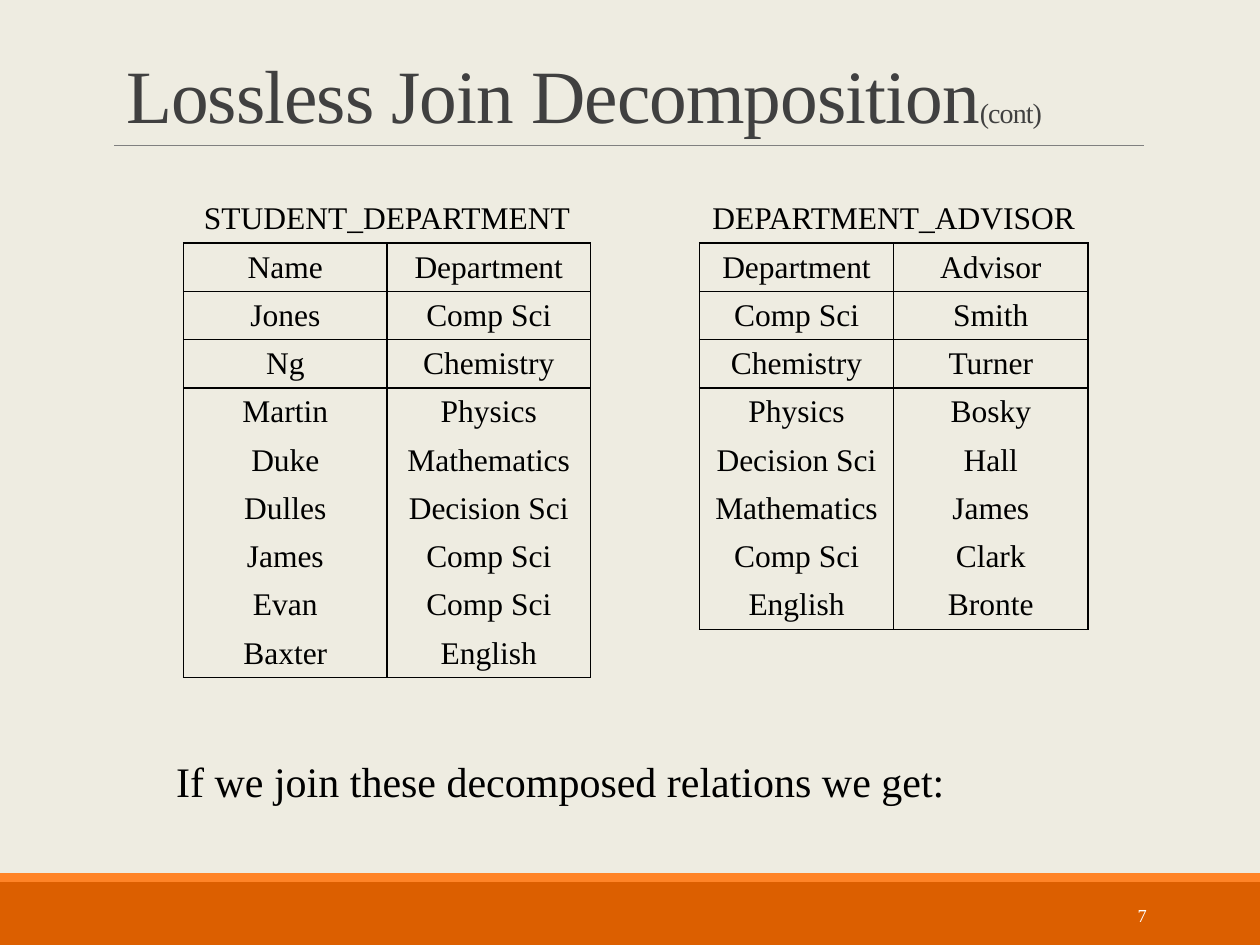
from lxml import etree
from pptx import Presentation
from pptx.dml.color import RGBColor
from pptx.enum.shapes import MSO_CONNECTOR, MSO_SHAPE
from pptx.enum.text import MSO_ANCHOR, PP_ALIGN
from pptx.oxml.ns import qn
from pptx.util import Pt

RECTANGLE = MSO_SHAPE.RECTANGLE
STRAIGHT = MSO_CONNECTOR.STRAIGHT
MIDDLE, BOTTOM = MSO_ANCHOR.MIDDLE, MSO_ANCHOR.BOTTOM
LEFT, CENTER, RIGHT = PP_ALIGN.LEFT, PP_ALIGN.CENTER, PP_ALIGN.RIGHT

CREAM = RGBColor(0xEE, 0xEC, 0xE1)
DARK_ORANGE = RGBColor(0xDC, 0x5F, 0x00)
ORANGE = RGBColor(0xFF, 0x84, 0x27)
GRAY = RGBColor(0x80, 0x80, 0x80)
CHARCOAL = RGBColor(0x40, 0x40, 0x40)
BLACK = RGBColor(0, 0, 0)
WHITE = RGBColor(0xFF, 0xFF, 0xFF)

FONT = "Times New Roman"
PLAIN_TABLE_STYLE = "{2D5ABB26-0587-4C30-8999-92F81FD0307C}"
ROW_HEIGHT = 27.14

STUDENT_DEPARTMENT = [
    ("Name", "Department"),
    ("Jones", "Comp Sci"),
    ("Ng", "Chemistry"),
    ("Martin", "Physics"),
    ("Duke", "Mathematics"),
    ("Dulles", "Decision Sci"),
    ("James", "Comp Sci"),
    ("Evan", "Comp Sci"),
    ("Baxter", "English"),
]
DEPARTMENT_ADVISOR = [
    ("Department", "Advisor"),
    ("Comp Sci", "Smith"),
    ("Chemistry", "Turner"),
    ("Physics", "Bosky"),
    ("Decision Sci", "Hall"),
    ("Mathematics", "James"),
    ("Comp Sci", "Clark"),
    ("English", "Bronte"),
]


def format_paragraph(paragraph, size, color, alignment):
    paragraph.alignment = alignment
    paragraph.font.name = FONT
    paragraph.font.size = Pt(size)
    paragraph.font.color.rgb = color


def add_bar(slide, left, top, width, height, color):
    bar = slide.shapes.add_shape(RECTANGLE, Pt(left), Pt(top), Pt(width), Pt(height))
    bar.shadow.inherit = False
    bar.fill.solid()
    bar.fill.fore_color.rgb = color
    bar.line.fill.background()


def add_text(slide, left, top, width, height, text, size, color, alignment=LEFT, anchor=None):
    box = slide.shapes.add_textbox(Pt(left), Pt(top), Pt(width), Pt(height))
    frame = box.text_frame
    frame.word_wrap = True
    frame.vertical_anchor = anchor
    frame.text = text
    format_paragraph(frame.paragraphs[0], size, color, alignment)


def add_title(slide, left, top, width, height):
    title = slide.shapes.title
    title.left, title.top = Pt(left), Pt(top)
    title.width, title.height = Pt(width), Pt(height)
    frame = title.text_frame
    frame.vertical_anchor = BOTTOM
    paragraph = frame.paragraphs[0]
    format_paragraph(paragraph, 43, CHARCOAL, LEFT)
    paragraph.line_spacing = 0.85
    for text, size in (("Lossless Join Decomposition", 43), ("(cont)", 16)):
        run = paragraph.add_run()
        run.text = text
        run.font.size = Pt(size)
        run.font._element.set("spc", "-50")

    # Rule under the title
    bottom = top + height
    rule = slide.shapes.add_connector(STRAIGHT, Pt(65.4), Pt(bottom), Pt(653.8), Pt(bottom))
    rule.line.color.rgb = GRAY
    rule.line.width = Pt(0.5)
    etree.SubElement(rule._element.spPr, qn("a:effectLst"))


def set_borders(cell, sides):
    """Draw 1 pt black lines on the given sides, in the order L, R, T, B."""
    properties = cell._tc.get_or_add_tcPr()
    for index, side in enumerate(sides):
        line = etree.Element(qn(f"a:ln{side}"), w=str(Pt(1)))
        fill = etree.SubElement(line, qn("a:solidFill"))
        etree.SubElement(fill, qn("a:srgbClr"), val=str(BLACK))
        properties.insert(index, line)


def fill_cell(cell, text):
    cell.text = text
    cell.vertical_anchor = MIDDLE
    cell.margin_top = cell.margin_bottom = Pt(3)
    cell.fill.background()
    format_paragraph(cell.text_frame.paragraphs[0], 18, BLACK, CENTER)


def add_relation(slide, left, top, width, name, records):
    row_count = len(records) + 1
    frame = slide.shapes.add_table(
        row_count, 2, Pt(left), Pt(top), Pt(width), Pt(row_count * ROW_HEIGHT))
    table = frame.table
    table.first_row = table.horz_banding = False
    table._tbl.tblPr.find(qn("a:tableStyleId")).text = PLAIN_TABLE_STYLE
    for column in table.columns:
        column.width = Pt(width / 2)
    for row in table.rows:
        row.height = Pt(ROW_HEIGHT)

    # Relation name across both columns
    caption = table.cell(0, 0)
    caption.merge(table.cell(0, 1))
    fill_cell(caption, name)
    for column in range(2):
        set_borders(table.cell(0, column), "B")

    # Lines enclose the heading, the first record and the remaining records
    for row, record in enumerate(records, start=1):
        top_side = "T" if row <= 3 else ""
        bottom_side = "B" if row in (1, 2, len(records)) else ""
        for column, text in enumerate(record):
            cell = table.cell(row, column)
            fill_cell(cell, text)
            set_borders(cell, "LR" + top_side + bottom_side)


def add_footer(slide, left, top, width, height):
    add_bar(slide, left, top + 5, width, height - 5, DARK_ORANGE)
    add_bar(slide, left, top, width, 5, ORANGE)
    add_text(slide, left + 584.6, top + 9.3, 77.8, 28.8, "7", 10.5, WHITE, RIGHT, MIDDLE)


def main():
    presentation = Presentation()
    presentation.slide_width, presentation.slide_height = Pt(720), Pt(540)
    slide = presentation.slides.add_slide(presentation.slide_layouts[5])
    slide.background.fill.solid()
    slide.background.fill.fore_color.rgb = CREAM

    add_footer(slide, 0, 499, 720, 41)
    add_title(slide, 64.8, 22.4, 594, 60.5)
    add_relation(slide, 104.9, 111.4, 232.6, "STUDENT_DEPARTMENT", STUDENT_DEPARTMENT)
    add_relation(slide, 399.7, 111.4, 222, "DEPARTMENT_ADVISOR", DEPARTMENT_ADVISOR)
    add_text(slide, 93.6, 428.4, 635, 58.3,
             "If we join these decomposed relations we get:", 24, BLACK)
    presentation.save("out.pptx")


if __name__ == "__main__":
    main()
